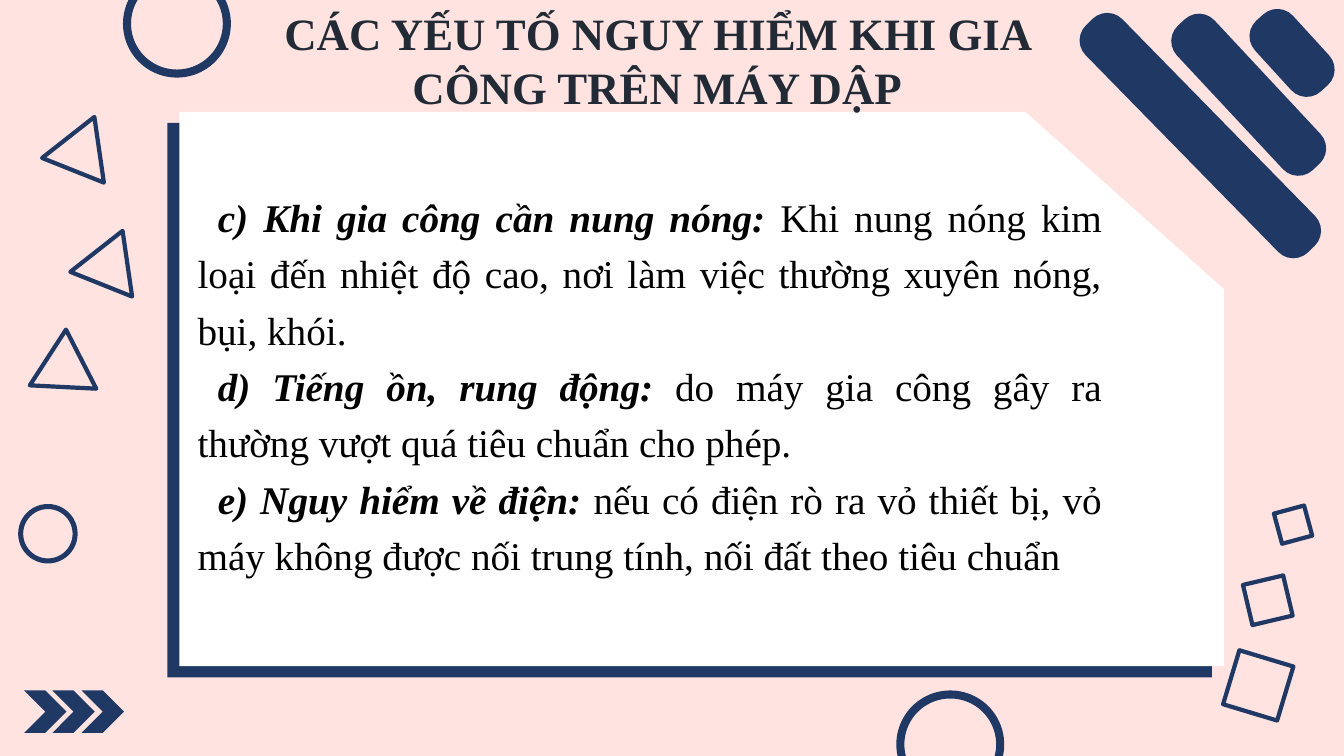
from lxml import etree
from pptx import Presentation
from pptx.dml.color import RGBColor
from pptx.enum.shapes import MSO_SHAPE
from pptx.enum.text import MSO_ANCHOR, MSO_AUTO_SIZE, PP_ALIGN
from pptx.oxml.ns import qn
from pptx.util import Emu, Pt

PX = 9144
BAR = MSO_SHAPE.ROUNDED_RECTANGLE
CHEVRON = MSO_SHAPE.CHEVRON
RING = MSO_SHAPE.DONUT
SQUARE = MSO_SHAPE.RECTANGLE
TRIANGLE = MSO_SHAPE.ISOSCELES_TRIANGLE
TOP = MSO_ANCHOR.TOP
GROW = MSO_AUTO_SIZE.SHAPE_TO_FIT_TEXT
CENTER = PP_ALIGN.CENTER
JUSTIFY = PP_ALIGN.JUSTIFY

COLORS = {
    "background": "FFE3E1",
    "navy": "203864",
    "card": "FFFFFF",
    "title": "222A35",
    "body": "000000",
}

TITLE = "CÁC YẾU TỐ NGUY HIỂM KHI GIA CÔNG TRÊN MÁY DẬP"
HAZARDS = [
    ("c) Khi gia công cần nung nóng:",
     " Khi nung nóng kim loại đến nhiệt độ cao, nơi làm việc thường xuyên nóng, bụi, khói."),
    ("d) Tiếng ồn, rung động:",
     " do máy gia công gây ra thường vượt quá tiêu chuẩn cho phép."),
    ("e) Nguy hiểm về điện: ",
     "nếu có điện rò ra vỏ thiết bị, vỏ máy không được nối trung tính, nối đất theo tiêu chuẩn"),
]

CARD_OUTLINE = [(0, 0), (839, 0), (1036, 176), (1036, 550), (0, 550)]
BARS = [
    (1165, -23, 51, 315, 315.6),
    (1213, -4, 51, 196, 317),
    (1256, 5, 51, 95, 317.6),
]
RINGS = [(122, -30, 107, 8), (889, 685, 107, 8), (18, 500, 59, 5)]
SQUARES = [(1220, 652, 56, 16.8), (1267, 505, 31, 344.9), (1237, 575, 41, 346.7)]
TRIANGLES = [(31, 327, 2.9), (78, 227, 21.8), (50, 114, 21.8)]


def rgb(name):
    return RGBColor.from_string(COLORS[name])


class SlideBuilder:
    font = "Times New Roman"
    outline_width = Pt(3)

    def __init__(self, page):
        self.page = page
        page.background.fill.solid()
        page.background.fill.fore_color.rgb = rgb("background")

    def paint(self, shape, color):
        shape.shadow.inherit = False
        shape.fill.solid()
        shape.fill.fore_color.rgb = rgb(color)
        shape.line.fill.background()

    def card(self, left, top, color):
        points = [(left + x, top + y) for x, y in CARD_OUTLINE]
        builder = self.page.shapes.build_freeform(*points[0], scale=PX)
        builder.add_line_segments(points[1:], close=True)
        self.paint(builder.convert_to_shape(), color)

    def solid(self, kind, left, top, width, height, rotation=0, adjustment=None):
        shape = self.page.shapes.add_shape(
            kind, *(Emu(value * PX) for value in (left, top, width, height)))
        shape.rotation = rotation
        if adjustment is not None:
            shape.adjustments[0] = adjustment
        self.paint(shape, "navy")
        return shape

    def outline(self, kind, left, top, width, height, rotation):
        shape = self.solid(kind, left, top, width, height, rotation)
        shape.fill.background()
        shape.line.color.rgb = rgb("navy")
        shape.line.width = self.outline_width

    def place(self, box, left, top, width, height):
        box.left, box.top, box.width, box.height = (
            Emu(value * PX) for value in (left, top, width, height))
        box.element.getparent().append(box.element)
        frame = box.text_frame
        frame.word_wrap = True
        frame.vertical_anchor = TOP
        frame.auto_size = GROW
        return frame

    def style(self, span, size, color, bold, italic=False):
        span.font.name = self.font
        span.font.size = Pt(size)
        span.font.color.rgb = rgb(color)
        span.font.bold = bold
        span.font.italic = italic

    def title(self, text, left, top, width, height):
        frame = self.place(self.page.shapes.title, left, top, width, height)
        frame.text = text
        para = frame.paragraphs[0]
        para.alignment = CENTER
        self.style(para.runs[0], 32, "title", True)

    def body(self, items, left, top, width, height):
        frame = self.place(self.page.placeholders[1], left, top, width, height)
        for index, (heading, detail) in enumerate(items):
            para = frame.add_paragraph() if index else frame.paragraphs[0]
            para.text = heading
            para.add_run().text = detail
            para.alignment = JUSTIFY
            para.line_spacing = 1.2
            para.space_before = Pt(0)
            properties = para._p.get_or_add_pPr()
            properties.set("marL", "0")
            properties.set("indent", str(20 * PX))
            etree.SubElement(properties, qn("a:buNone"))
            for span, strong in zip(para.runs, (True, False)):
                self.style(span, 28, "body", strong, strong)


def main():
    deck = Presentation()
    deck.slide_width = Emu(1333 * PX)
    deck.slide_height = Emu(750 * PX)
    slide = SlideBuilder(deck.slides.add_slide(deck.slide_layouts[1]))

    slide.card(166, 122, "navy")
    slide.card(178, 111, "card")
    for left, top, width, height, rotation in BARS:
        slide.solid(BAR, left, top, width, height, rotation, 0.41)
    for left in (24, 52, 81):
        slide.solid(CHEVRON, left, 685, 42, 42)
    for left, top, size, thickness in RINGS:
        slide.solid(RING, left, top, size, size, adjustment=thickness / size)
    for left, top, size, rotation in SQUARES:
        slide.outline(SQUARE, left, top, size, size, rotation)
    for left, top, rotation in TRIANGLES:
        slide.outline(TRIANGLE, left, top, 66, 57, rotation)
    slide.title(TITLE, 257, 1, 790, 118)
    slide.body(HAZARDS, 186, 177, 917, 497)

    deck.save("out.pptx")


if __name__ == "__main__":
    main()
